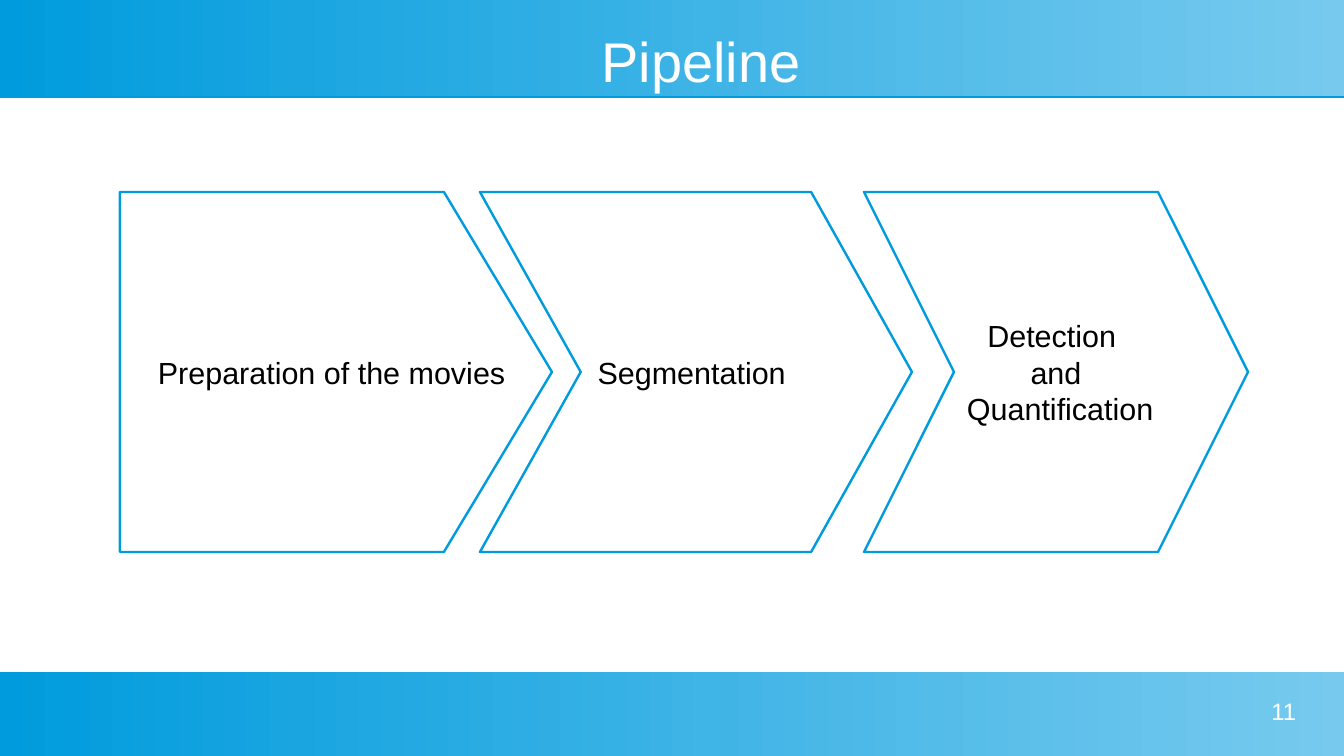
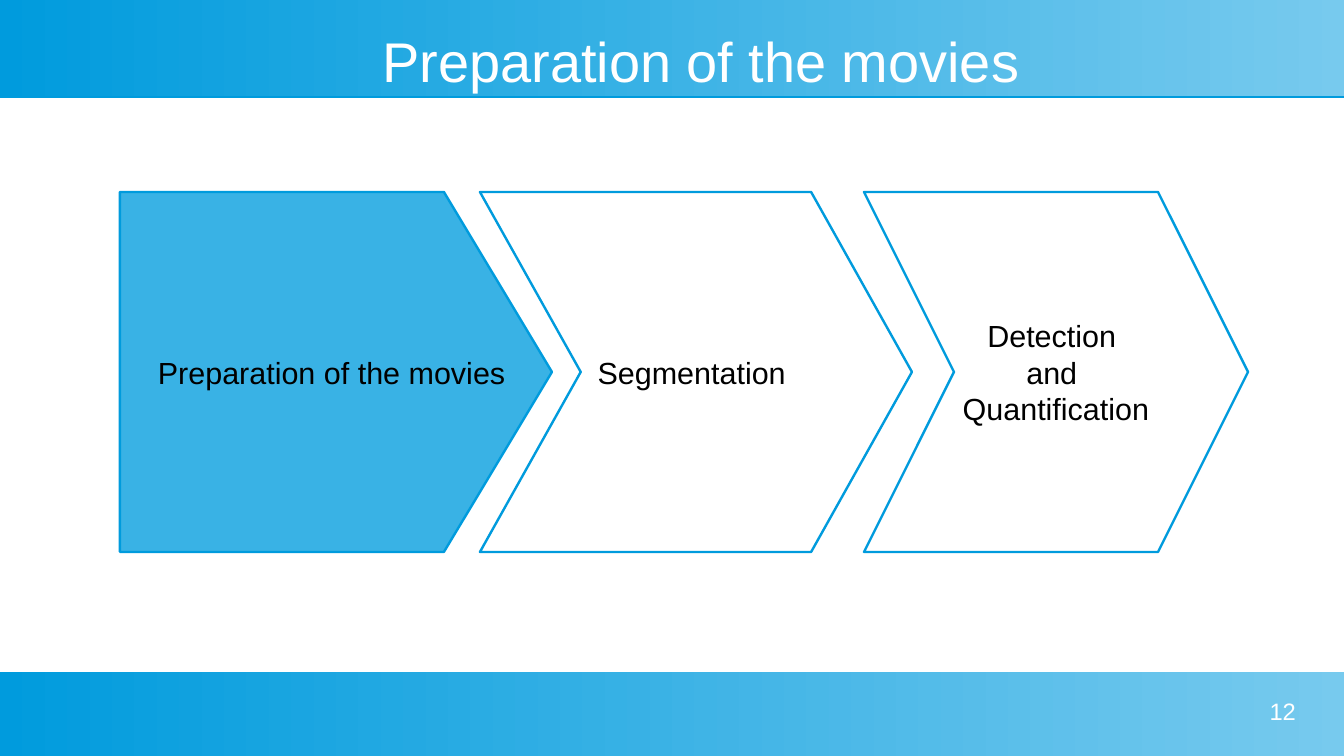
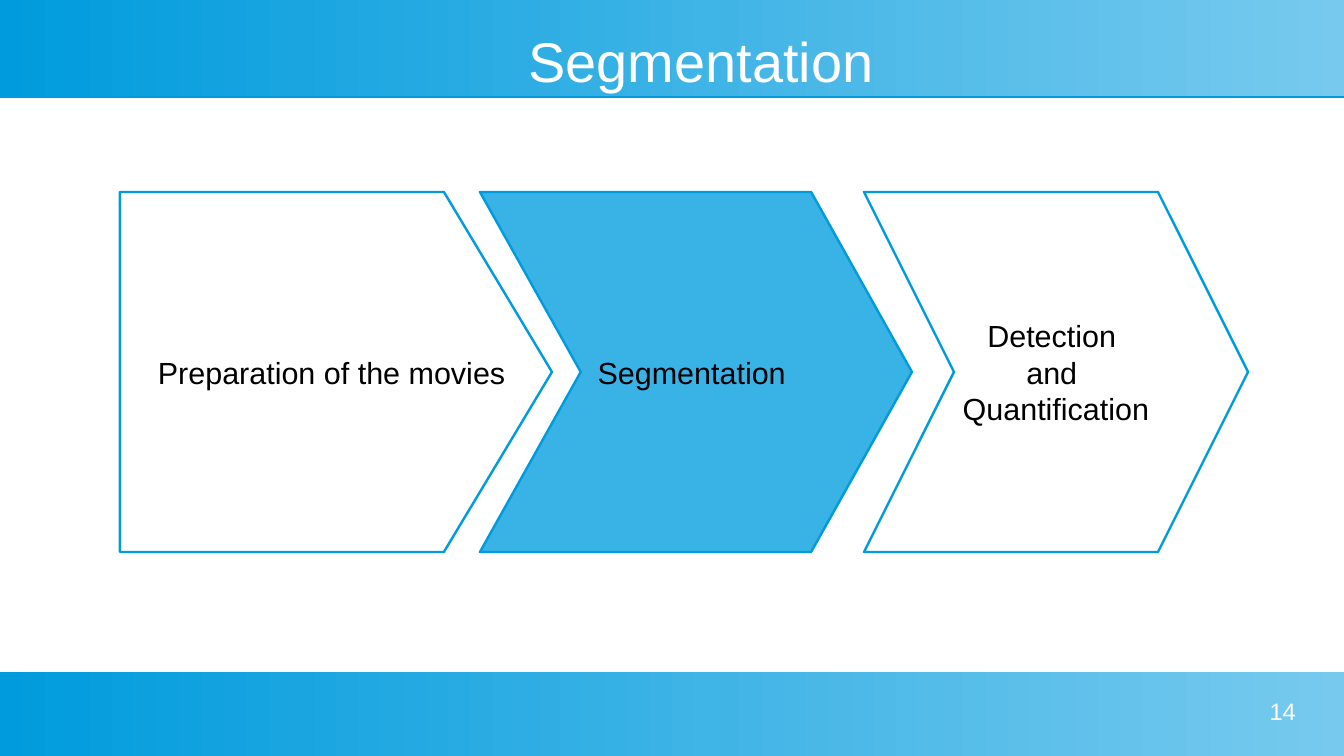
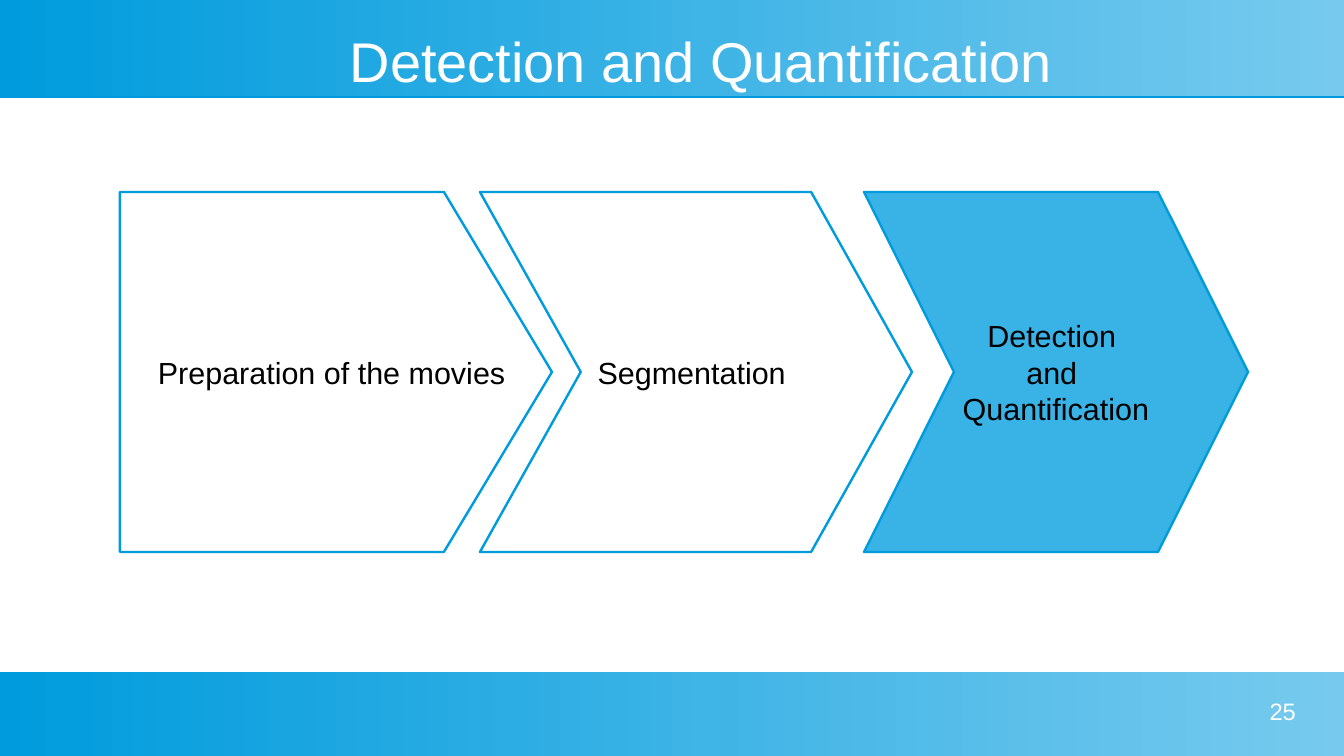
import pptx
import pptx.dml.color
import pptx.enum.shapes
import pptx.enum.text
import pptx.oxml
import pptx.oxml.ns
import pptx.util

RGB = pptx.dml.color.RGBColor
SHAPE = pptx.enum.shapes.MSO_SHAPE
ALIGN = pptx.enum.text.PP_ALIGN
ANCHOR = pptx.enum.text.MSO_ANCHOR

DEEP_BLUE = RGB(0x00, 0x9B, 0xDD)
PALE_BLUE = RGB(0x77, 0xCA, 0xEE)
ACTIVE_BLUE = RGB(0x39, 0xB2, 0xE5)
WHITE = RGB(0xFF, 0xFF, 0xFF)
BLACK = RGB(0x00, 0x00, 0x00)

FONT = "Arial"
EMU_PER_PX = 7495
SLIDE_WIDTH, SLIDE_HEIGHT = 1344, 756
TITLE_ONLY = 5

# top, height
BANDS = [(0, 96), (672, 84)]

STEP_TOP, STEP_HEIGHT = 192, 360
# outline, left, width, point depth relative to height, left inset
STEPS = [
    (SHAPE.PENTAGON, 120, 432, 0.3, 66),
    (SHAPE.CHEVRON, 480, 432, 0.28, 12),
    (SHAPE.CHEVRON, 864, 384, 0.25, 12),
]
PREPARATION = "Preparation of the movies "
SEGMENTATION = "Segmentation "
QUANTIFICATION = "Detection \nand \nQuantification"
LABELS = [PREPARATION, SEGMENTATION, QUANTIFICATION]
OVERVIEW_LABELS = [PREPARATION, SEGMENTATION, "Detection \nand\n Quantification"]

# title, page number, index of the highlighted step, step labels
SLIDES = [
    ("Pipeline", "11", None, OVERVIEW_LABELS),
    ("Preparation of the movies", "12", 0, LABELS),
    ("Segmentation", "14", 1, LABELS),
    ("Detection and Quantification", "25", 2, LABELS),
]


def px(length):
    return pptx.util.Emu(length * EMU_PER_PX)


def box(*lengths):
    return [px(length) for length in lengths]


def write(frame, text, size, color, align, anchor, insets=(0, 0, 0, 0)):
    """Fill a text frame; insets are left, top, right, bottom."""
    frame.text = text
    frame.vertical_anchor = anchor
    (frame.margin_left, frame.margin_top,
     frame.margin_right, frame.margin_bottom) = box(*insets)
    for paragraph in frame.paragraphs:
        paragraph.alignment = align
        for run in paragraph.runs:
            run.font.name = FONT
            run.font.size = pptx.util.Pt(size)
            run.font.color.rgb = color


def add_edge_shadow(shape):
    """Give the shape a sharp shadow that shows as a thin line below it."""
    shape.shadow.inherit = False
    effects = shape.element.spPr.find(pptx.oxml.ns.qn("a:effectLst"))
    effects.append(pptx.oxml.parse_xml(
        f'<a:outerShdw {pptx.oxml.ns.nsdecls("a")} blurRad="0" dist="11430" '
        f'dir="5400000" rotWithShape="0"><a:srgbClr val="{DEEP_BLUE}"/></a:outerShdw>'
    ))


def move_bands_to_layout(slide):
    """Draw the bands once and hand them to the layout all slides use."""
    layout_tree = slide.slide_layout.shapes.element
    for index, (top, height) in enumerate(BANDS):
        band = slide.shapes.add_shape(SHAPE.RECTANGLE, *box(0, top, SLIDE_WIDTH, height))
        band.fill.gradient()
        band.fill.gradient_angle = 0
        for stop, color in zip(band.fill.gradient_stops, (DEEP_BLUE, PALE_BLUE)):
            stop.color.rgb = color
        band.line.fill.background()
        add_edge_shadow(band)
        band.element.nvSpPr.cNvPr.set("id", str(101 + index))
        layout_tree.insert(2 + index, band.element)


def set_title(slide, text):
    title = slide.shapes.title
    title.left, title.top, title.width, title.height = box(48, 29, 1249, 63)
    write(title.text_frame, text, 33, WHITE, ALIGN.CENTER, ANCHOR.MIDDLE, (57, 0, 0, 0))
    title.text_frame.auto_size = pptx.enum.text.MSO_AUTO_SIZE.NONE


def add_step(slide, step, label, active):
    outline, left, width, depth, left_inset = step
    arrow = slide.shapes.add_shape(outline, *box(left, STEP_TOP, width, STEP_HEIGHT))
    arrow.adjustments[0] = depth
    arrow.shadow.inherit = False
    arrow.fill.solid()
    arrow.fill.fore_color.rgb = ACTIVE_BLUE if active else WHITE
    arrow.line.color.rgb = DEEP_BLUE
    arrow.line.width = pptx.util.Pt(1.42)
    write(arrow.text_frame, label, 18, BLACK, ALIGN.CENTER, ANCHOR.MIDDLE,
          (left_inset, 6, 12, 6))
    arrow.text_frame.word_wrap = False


def add_page_number(slide, number):
    page = slide.shapes.add_textbox(*box(984, 697, 312, 48))
    write(page.text_frame, number, 14, WHITE, ALIGN.RIGHT, ANCHOR.TOP)
    page.text_frame.word_wrap = True


def main():
    deck = pptx.Presentation()
    deck.slide_width, deck.slide_height = box(SLIDE_WIDTH, SLIDE_HEIGHT)
    for title, number, active_step, labels in SLIDES:
        slide = deck.slides.add_slide(deck.slide_layouts[TITLE_ONLY])
        set_title(slide, title)
        for index, (step, label) in enumerate(zip(STEPS, labels)):
            add_step(slide, step, label, index == active_step)
        add_page_number(slide, number)
    move_bands_to_layout(deck.slides[0])
    deck.save("out.pptx")


if __name__ == "__main__":
    main()
